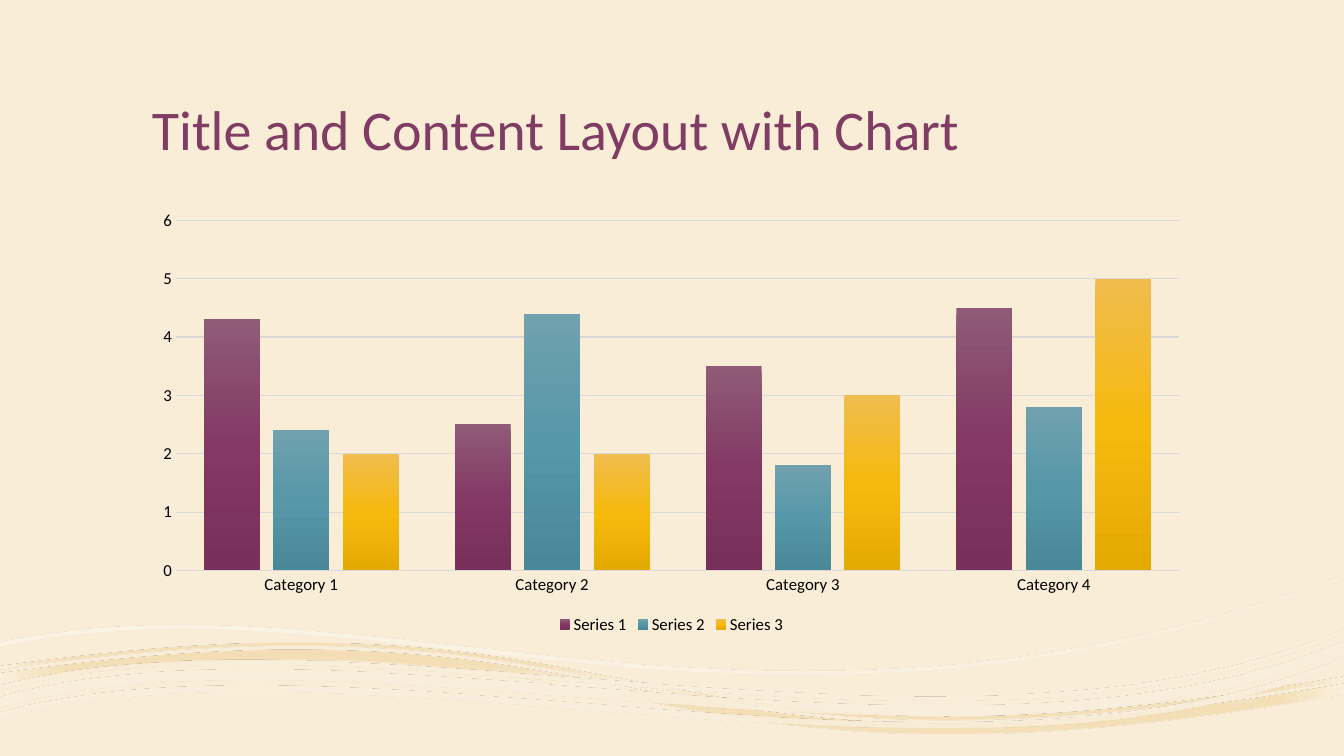
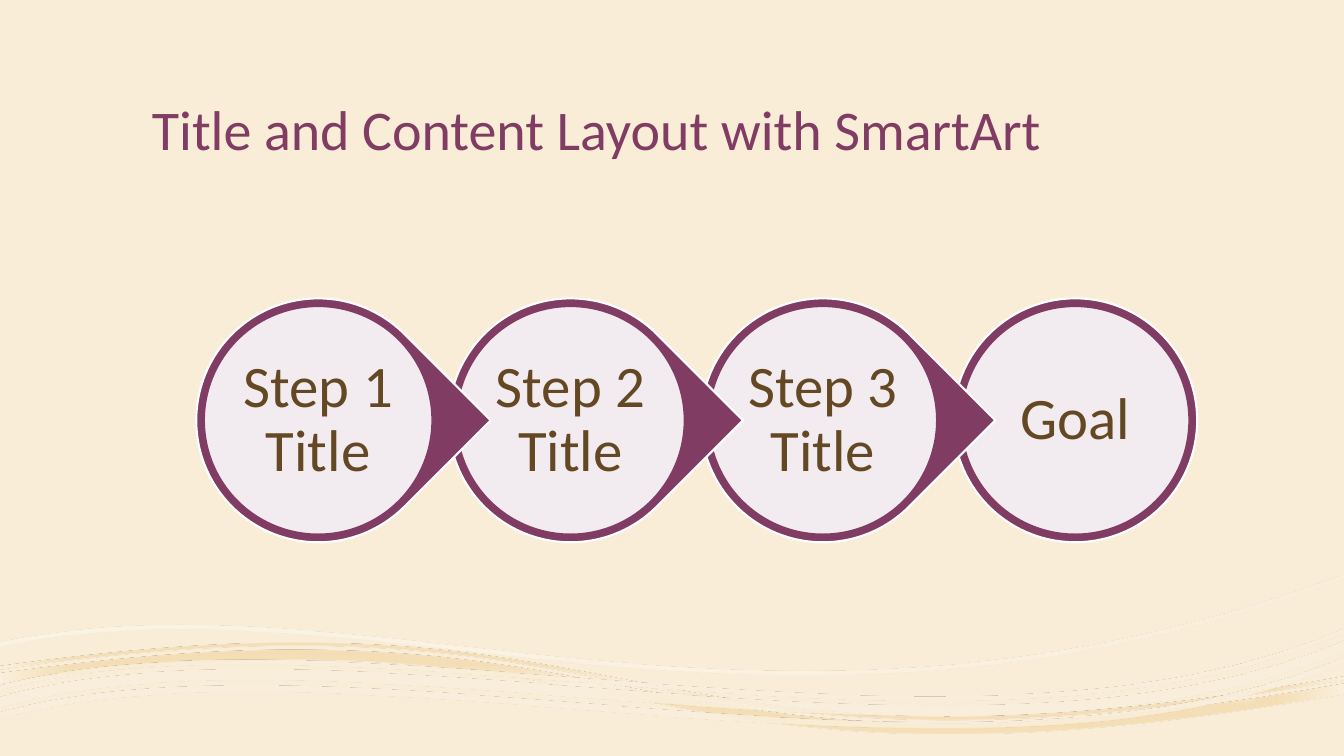
"""Build a chart slide and a process slide over a shared background of waves."""
from dataclasses import dataclass
from math import cos, radians, sin
from typing import Any, NamedTuple

from lxml import etree
from pptx import Presentation
from pptx import util as u
from pptx.chart.data import CategoryChartData
from pptx.dml.color import RGBColor
from pptx.enum import chart as charts, shapes, text
from pptx.oxml.ns import qn

PX = 3048
WAVE_GRID = 3
WAVE_TILT = -3.5
FONT = "Calibri"
CREAM, PLUM, BROWN = "F9EDD7", "803C63", "634823"
WHITE, BLACK, GREY = "FFFFFF", "000000", "D9D9D9"

Point = tuple[int, int]
Curve = tuple[Point, ...]


class Box(NamedTuple):
    left: int
    top: int
    width: int
    height: int

    def emu(self) -> list[u.Emu]:
        return [px(value) for value in self]

    def inset(self, gap: int) -> "Box":
        return Box(self.left + gap, self.top + gap, self.width - 2 * gap, self.height - 2 * gap)


class Stop(NamedTuple):
    position: int
    color: str
    alpha: int = 100


class Ribbon(NamedTuple):
    upper: Curve
    lower: Curve


@dataclass(frozen=True)
class Gradient:
    stops: tuple[Stop, ...]
    angle: int = 0
    shade: str = ""
    focus: tuple[int, ...] = ()


@dataclass(frozen=True)
class Wave:
    box: Box
    ribbons: tuple[Ribbon, ...]
    gradient: Gradient


@dataclass(frozen=True)
class Series:
    name: str
    values: tuple[float, ...]
    colors: tuple[str, str, str]


@dataclass(frozen=True)
class Step:
    label: str
    outline: shapes.MSO_SHAPE = shapes.MSO_SHAPE.TEAR
    rotation: int = 45


def shift(curve: Curve, down: int) -> Curve:
    return tuple((x, y + down) for x, y in curve)


def ribbon(curve: Curve, thickness: int) -> Ribbon:
    return Ribbon(curve, shift(curve, thickness))


CREST = ((0, 668), (124, 651), (222, 644), (306, 645), (670, 647), (738, 782), (1333, 678))
TROUGH = ((0, 678), (667, 583), (602, 816), (1333, 688))
WAVES = (
    Wave(
        Box(3, 1836, 3993, 405),
        (Ribbon(CREST, TROUGH), Ribbon(shift(CREST, -7), shift(TROUGH, -14))),
        Gradient(
            (Stop(0, "FAF1DF", 90), Stop(18, "F4DEB7"), Stop(37, "F4DDB3", 90), Stop(100, "FAF1DF")),
            shade="shape", focus=(50, 50, 50, 50),
        ),
    ),
    Wave(
        Box(9, 1764, 4005, 513),
        (ribbon(((0, 637), (373, 559), (754, 784), (1333, 570)), 4),),
        Gradient((Stop(36, WHITE, 30), Stop(100, CREAM, 48)), angle=45),
    ),
    Wave(
        Box(-3, 1875, 4008, 345),
        (
            ribbon(((0, 706), (349, 612), (955, 810), (1333, 652)), 6),
            ribbon(((0, 691), (349, 596), (955, 794), (1333, 636)), 10),
            ribbon(((0, 680), (351, 589), (958, 786), (1333, 624)), 4),
        ),
        Gradient((Stop(36, WHITE, 47), Stop(100, "FAEFDC", 82)), shade="rect", focus=(100, 100, 0, 0)),
    ),
)
TITLE_BOX = Box(423, 100, 3150, 400)
CHART_BOX = Box(423, 600, 3150, 1300)
CATEGORIES = [f"Category {number}" for number in range(1, 5)]
SERIES = (
    Series("Series 1", (4.3, 2.5, 3.5, 4.5), ("8F5B77", "833964", "782F59")),
    Series("Series 2", (2.4, 4.4, 1.8, 2.8), ("70A1AE", "5697A8", "498898")),
    Series("Series 3", (2, 2, 3, 5), ("F0BC4E", "F6B90E", "E5AA02")),
)
STEPS = (
    *(Step(f"Step {number} Title") for number in range(1, 4)),
    Step("Goal", shapes.MSO_SHAPE.OVAL, 0),
)
FIRST_STEP = Box(584, 888, 726, 726)
STEP_PITCH = 751


def px(value: float) -> u.Emu:
    return u.Emu(round(value * PX))


def rgb(value: str) -> RGBColor:
    return RGBColor.from_string(value)


def apply(target: Any, formats: dict[str, Any]) -> None:
    for name, value in formats.items():
        setattr(target, name, value)


def set_font(font: Any, size: int, color: str) -> None:
    apply(font, {"name": FONT, "size": u.Pt(size)})
    font.color.rgb = rgb(color)


def set_line(line: Any, color: str, width: float) -> None:
    line.color.rgb = rgb(color)
    line.width = u.Pt(width)


def set_alpha(color: Any, percent: int) -> None:
    etree.SubElement(color, qn("a:alpha"), val=str(percent * 1000))


def set_solid(fill: Any, color: str, alpha: int = 100) -> None:
    fill.solid()
    fill.fore_color.rgb = rgb(color)
    if alpha < 100:
        set_alpha(fill._xPr.find(qn("a:solidFill"))[0], alpha)


def set_gradient(fill: Any, gradient: Gradient) -> None:
    fill.background()
    empty = fill._xPr.find(qn("a:noFill"))
    painted = etree.Element(qn("a:gradFill"), rotWithShape="1")
    stops = etree.SubElement(painted, qn("a:gsLst"))
    for stop in gradient.stops:
        mark = etree.SubElement(stops, qn("a:gs"), pos=str(stop.position * 1000))
        color = etree.SubElement(mark, qn("a:srgbClr"), val=stop.color)
        if stop.alpha < 100:
            set_alpha(color, stop.alpha)
    if gradient.shade:
        shade = etree.SubElement(painted, qn("a:path"), {"path": gradient.shade})
        sides = {side: str(value * 1000) for side, value in zip("ltrb", gradient.focus)}
        etree.SubElement(shade, qn("a:fillToRect"), sides)
    else:
        etree.SubElement(painted, qn("a:lin"), ang=str(gradient.angle * 60000), scaled="0")
    fill._xPr.replace(empty, painted)


def untilt(point: Point, box: Box) -> tuple[u.Emu, u.Emu]:
    turn = radians(-WAVE_TILT)
    x = point[0] * WAVE_GRID - box.left - box.width / 2
    y = point[1] * WAVE_GRID - box.top - box.height / 2
    return (px(x * cos(turn) - y * sin(turn) + box.width / 2),
            px(x * sin(turn) + y * cos(turn) + box.height / 2))


def add_command(outline: Any, name: str, points: Curve, box: Box) -> None:
    command = etree.SubElement(outline, qn(f"a:{name}"))
    for point in points:
        x, y = untilt(point, box)
        etree.SubElement(command, qn("a:pt"), x=str(x), y=str(y))


def add_wave(group: Any, wave: Wave) -> None:
    left, top, width, height = wave.box.emu()
    builder = group.shapes.build_freeform(left, top)
    builder.add_line_segments([(left + width, top), (left + width, top + height), (left, top + height)])
    shape = builder.convert_to_shape()
    outline = next(shape._element.iter(qn("a:path")))
    for command in list(outline):
        outline.remove(command)
    for band in wave.ribbons:
        for name, curve in (("moveTo", band.upper), ("lnTo", band.lower[::-1])):
            add_command(outline, name, curve[:1], wave.box)
            for first in range(1, len(curve), 3):
                add_command(outline, "cubicBezTo", curve[first:first + 3], wave.box)
        add_command(outline, "lnTo", band.upper[:1], wave.box)
        etree.SubElement(outline, qn("a:close"))
    shape.shadow.inherit = False
    shape.rotation = WAVE_TILT
    set_gradient(shape.fill, wave.gradient)
    shape.line.fill.background()


def add_text(parent: Any, box: Box, words: str, size: int, color: str,
             frame_format: dict[str, Any], align: text.PP_ALIGN) -> None:
    frame = parent.shapes.add_textbox(*box.emu()).text_frame
    apply(frame, {"word_wrap": True, **frame_format})
    para = frame.paragraphs[0]
    apply(para, {"alignment": align, "line_spacing": 0.9})
    span = para.add_run()
    span.text = words
    set_font(span.font, size, color)


def add_page(deck: Any, title: str) -> Any:
    page = deck.slides.add_slide(deck.slide_layouts[6])
    group = page.shapes.add_group_shape()
    for wave in WAVES:
        add_wave(group, wave)
    add_text(page, TITLE_BOX, title, 40, PLUM,
             {"vertical_anchor": text.MSO_ANCHOR.BOTTOM}, text.PP_ALIGN.LEFT)
    return page


def add_column_chart(page: Any) -> None:
    data = CategoryChartData()
    data.categories = CATEGORIES
    for series in SERIES:
        data.add_series(series.name, series.values)
    chart = page.shapes.add_chart(
        charts.XL_CHART_TYPE.COLUMN_CLUSTERED, *CHART_BOX.emu(), data).chart
    apply(chart, {"has_title": False, "has_legend": True})
    set_font(chart.font, 10, BROWN)
    apply(chart.legend, {"position": charts.XL_LEGEND_POSITION.BOTTOM, "include_in_layout": False})
    plot = chart.plots[0]
    apply(plot, {"gap_width": 100, "overlap": -24, "vary_by_categories": False})
    for drawn, series in zip(plot.series, SERIES):
        stops = tuple(Stop(50 * index, color) for index, color in enumerate(series.colors))
        set_gradient(drawn.format.fill, Gradient(stops, angle=90))
    for axis in (chart.category_axis, chart.value_axis):
        axis.major_tick_mark = charts.XL_TICK_MARK.NONE
    for owner in (chart.category_axis.tick_labels, chart.value_axis.tick_labels, chart.legend):
        set_font(owner.font, 12, BLACK)
    set_line(chart.category_axis.format.line, GREY, 0.75)
    set_line(chart.value_axis.major_gridlines.format.line, GREY, 0.75)
    chart.value_axis.format.line.fill.background()


def add_disc(group: Any, kind: shapes.MSO_SHAPE, box: Box, color: str, alpha: int,
             line_color: str, line_width: float, rotation: int = 0) -> None:
    disc = group.shapes.add_shape(kind, *box.emu())
    disc.shadow.inherit = False
    disc.rotation = rotation
    set_solid(disc.fill, color, alpha)
    set_line(disc.line, line_color, line_width)


def add_step(group: Any, step: Step, box: Box) -> None:
    add_disc(group, step.outline, box, PLUM, 100, WHITE, 1.5, step.rotation)
    add_disc(group, shapes.MSO_SHAPE.OVAL, box.inset(24), WHITE, 90, PLUM, 1)
    margins = {f"margin_{side}": px(18) for side in ("left", "top", "right", "bottom")}
    add_text(group, box.inset(121), step.label, 42, BROWN,
             {"vertical_anchor": text.MSO_ANCHOR.MIDDLE, **margins}, text.PP_ALIGN.CENTER)


def main() -> None:
    deck = Presentation()
    apply(deck, {"slide_width": px(4000), "slide_height": px(2250)})
    set_solid(deck.slide_master.background.fill, CREAM)
    add_column_chart(add_page(deck, "Title and Content Layout with Chart"))
    process = add_page(deck, "Title and Content Layout with SmartArt").shapes.add_group_shape()
    for index, step in reversed(list(enumerate(STEPS))):
        add_step(process, step, FIRST_STEP._replace(left=FIRST_STEP.left + index * STEP_PITCH))
    deck.save("out.pptx")


if __name__ == "__main__":
    main()
